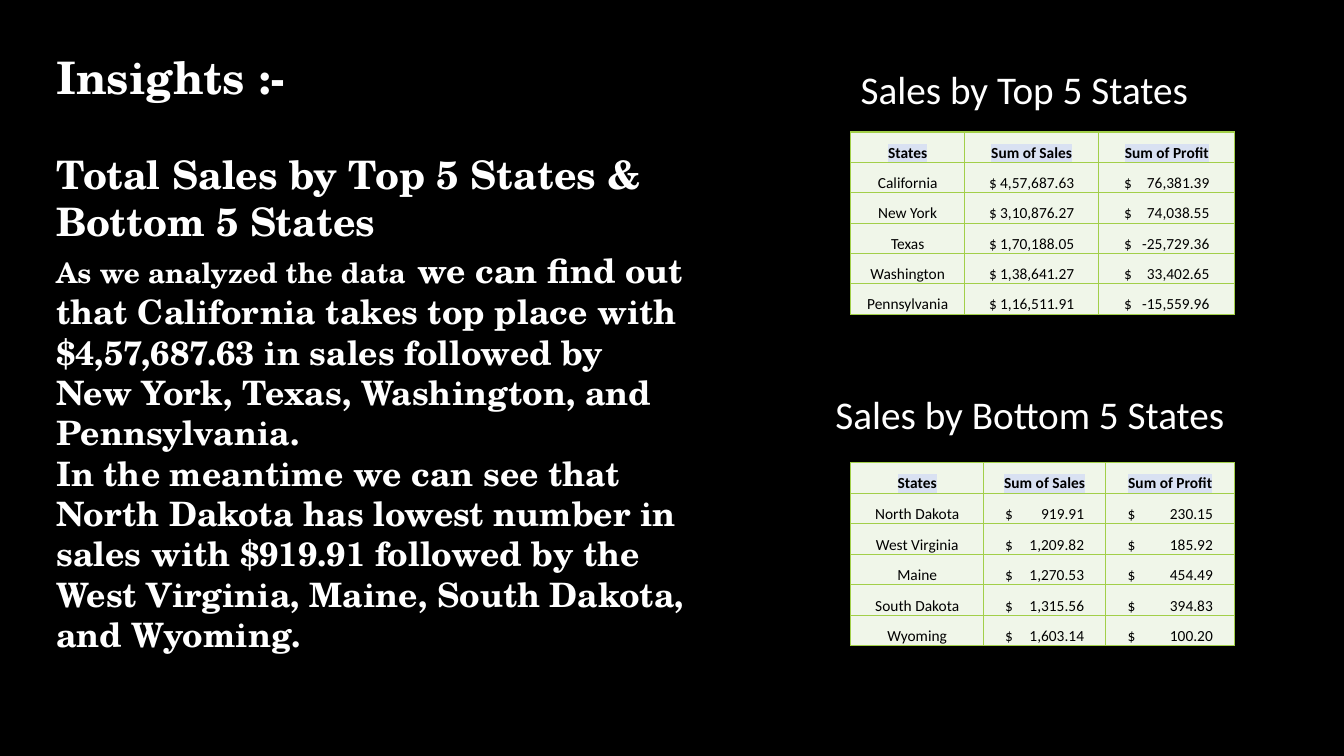
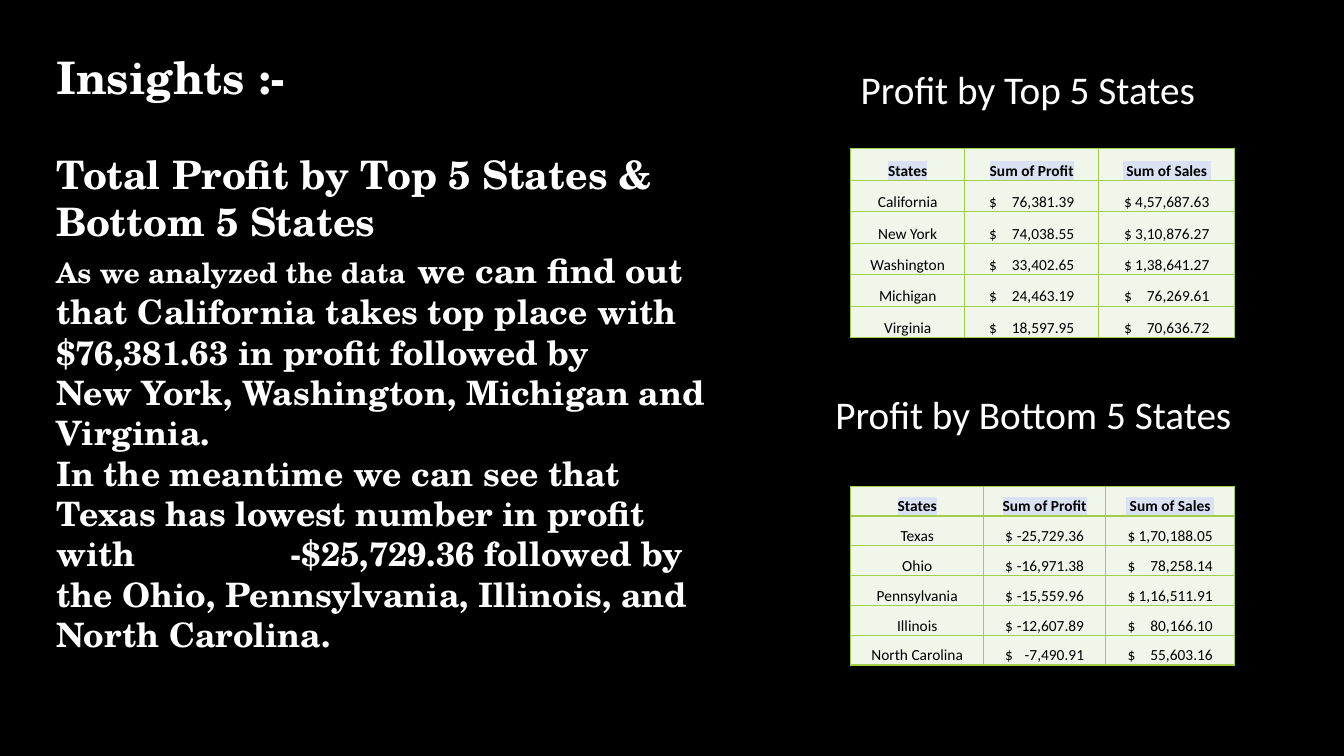
from lxml.etree import SubElement
from pptx import Presentation
from pptx.dml.color import RGBColor
from pptx.enum.text import MSO_ANCHOR, MSO_AUTO_SIZE, PP_ALIGN
from pptx.oxml.ns import qn
from pptx.util import Pt

# Shared look
BLACK = RGBColor(0x00, 0x00, 0x00)
WHITE = RGBColor(0xFF, 0xFF, 0xFF)
CELL_GREEN = RGBColor(0xF0, 0xF6, 0xE9)
BORDER_GREEN = RGBColor(0xA2, 0xCF, 0x49)
HIGHLIGHT_BLUE = RGBColor(0xD9, 0xE1, 0xF2)
SERIF = "TeX Gyre Schola"
SANS = "Calibri"

# Shared layout, in points
TABLE_LEFT = 607.7
TOP_CAPTION = (607.7, 43.2, 274.3, 41)
BOTTOM_CAPTION = (589.7, 275, 311, 41)
INSIGHTS_BOX = (33.1, 31.7, 489.6, 443)
TOP_COLUMNS = (81.4, 95.8, 97.2)
BOTTOM_COLUMNS = (95, 87.1, 92.3)
TOP_AMOUNTS = (61, 61)  # width from the dollar sign to the last digit
BOTTOM_AMOUNTS = (56.5, 61)
GAP_STOP = 167.5

PAGES = [
    {
        "subject": "Sales",
        "headers": ("States", "Sum of Sales", "Sum of Profit"),
        "insights": [
            "$4,57,687.63 in sales followed by",
            "New York, Texas, Washington, and",
            "Pennsylvania.",
            "In the meantime we can see that North Dakota has lowest number in "
            "sales with $919.91 followed by the West Virginia, Maine, "
            "South Dakota, and Wyoming.",
        ],
        "top": (94.3, 21.7, [
            ("California", "4,57,687.63", "76,381.39"),
            ("New York", "3,10,876.27", "74,038.55"),
            ("Texas", "1,70,188.05", "-25,729.36"),
            ("Washington", "1,38,641.27", "33,402.65"),
            ("Pennsylvania", "1,16,511.91", "-15,559.96"),
        ]),
        "bottom": (330.5, 21.8, [
            ("North Dakota", "919.91", "230.15"),
            ("West Virginia", "1,209.82", "185.92"),
            ("Maine", "1,270.53", "454.49"),
            ("South Dakota", "1,315.56", "394.83"),
            ("Wyoming", "1,603.14", "100.20"),
        ]),
    },
    {
        "subject": "Profit",
        "headers": ("States", "Sum of Profit", " Sum of Sales "),
        "insights": [
            "$76,381.63 in profit followed by",
            "New York, Washington, Michigan and",
            "Virginia.",
            "In the meantime we can see that Texas has lowest number in profit "
            "with\t-$25,729.36 followed by the Ohio, Pennsylvania, Illinois, "
            "and North Carolina.",
        ],
        "top": (106.3, 22.5, [
            ("California", "76,381.39", "4,57,687.63"),
            ("New York", "74,038.55", "3,10,876.27"),
            ("Washington", "33,402.65", "1,38,641.27"),
            ("Michigan", "24,463.19", "76,269.61"),
            ("Virginia", "18,597.95", "70,636.72"),
        ]),
        "bottom": (347.3, 21.3, [
            ("Texas", "-25,729.36", "1,70,188.05"),
            ("Ohio", "-16,971.38", "78,258.14"),
            ("Pennsylvania", "-15,559.96", "1,16,511.91"),
            ("Illinois", "-12,607.89", "80,166.10"),
            ("North Carolina", "-7,490.91", "55,603.16"),
        ]),
    },
]


def add_span(para, text, *, size, font=SERIF, color=WHITE, bold=True, highlight=None):
    span = para.add_run()
    span.text = text
    span.font.size = Pt(size)
    span.font.name = font
    span.font.bold = bold
    span.font.color.rgb = color
    if highlight is not None:
        properties = span.font._element
        mark = SubElement(properties, qn("a:highlight"))
        SubElement(mark, qn("a:srgbClr"), val=str(highlight))
        properties.find(qn("a:solidFill")).addnext(mark)


def add_tab_stop(para, position, alignment):
    stops = SubElement(para._p.get_or_add_pPr(), qn("a:tabLst"))
    SubElement(stops, qn("a:tab"), pos=str(int(Pt(position))), algn=alignment)


def add_text_box(page, place):
    box = page.shapes.add_textbox(*(Pt(length) for length in place))
    box.text_frame.word_wrap = True
    box.text_frame.auto_size = MSO_AUTO_SIZE.SHAPE_TO_FIT_TEXT
    return box.text_frame


def add_caption(page, place, text):
    para = add_text_box(page, place).paragraphs[0]
    add_span(para, text, size=28, font=SANS, bold=False)


def add_insights(page, subject, lines):
    frame = add_text_box(page, INSIGHTS_BOX)
    add_span(frame.paragraphs[0], "Insights :-", size=32)

    heading = frame.add_paragraph()
    heading.space_before = Pt(33.6)
    add_span(heading, f"Total {subject} by Top 5 States & Bottom 5 States", size=28)

    opening = frame.add_paragraph()
    add_span(opening, "As we analyzed the data", size=20)
    add_span(opening, " ", size=28)
    add_span(opening, "we can find out", size=24)

    for line in ["that California takes top place with", *lines]:
        para = frame.add_paragraph()
        add_span(para, line, size=24)
        if "\t" in line:
            add_tab_stop(para, GAP_STOP, "l")


def style_cell(cell):
    cell.vertical_anchor = MSO_ANCHOR.BOTTOM
    cell.margin_left = cell.margin_right = cell.margin_top = Pt(0.7)
    cell.margin_bottom = Pt(0)
    properties = cell._tc.get_or_add_tcPr()
    for side in ("a:lnL", "a:lnR", "a:lnT", "a:lnB"):
        line = SubElement(properties, qn(side), w=str(int(Pt(1))))
        fill = SubElement(line, qn("a:solidFill"))
        SubElement(fill, qn("a:srgbClr"), val=str(BORDER_GREEN))
    cell.fill.solid()
    cell.fill.fore_color.rgb = CELL_GREEN


def fill_cell(cell, text, *, header=False):
    style_cell(cell)
    para = cell.text_frame.paragraphs[0]
    para.alignment = PP_ALIGN.CENTER
    add_span(para, text, size=11, font=SANS, color=BLACK, bold=header,
             highlight=HIGHLIGHT_BLUE if header else None)


def fill_amount(cell, amount, column_width, amount_width):
    # Dollar sign at the left, digits flush right, the pair centred
    style_cell(cell)
    cell.margin_left = Pt((column_width - amount_width) / 2)
    cell.margin_right = Pt(0)
    para = cell.text_frame.paragraphs[0]
    para.alignment = PP_ALIGN.LEFT
    add_tab_stop(para, amount_width, "r")
    add_span(para, f"$\t{amount}", size=11, font=SANS, color=BLACK, bold=False)


def add_state_table(page, headers, content, widths, amount_widths):
    top, row_height, states = content
    row_count = len(states) + 1
    table = page.shapes.add_table(
        row_count, len(headers), Pt(TABLE_LEFT), Pt(top),
        Pt(sum(widths)), Pt(row_height * row_count)).table
    table.first_row = table.horz_banding = False
    for column, width in zip(table.columns, widths):
        column.width = Pt(width)
    for row in table.rows:
        row.height = Pt(row_height)
    for index, header in enumerate(headers):
        fill_cell(table.cell(0, index), header, header=True)
    for row, (state, *amounts) in enumerate(states, start=1):
        fill_cell(table.cell(row, 0), state)
        for index, amount in enumerate(amounts):
            fill_amount(table.cell(row, index + 1), amount,
                        widths[index + 1], amount_widths[index])


def main():
    deck = Presentation()
    deck.slide_width, deck.slide_height = Pt(960), Pt(540)
    background = deck.slide_master.background.fill
    background.solid()
    background.fore_color.rgb = BLACK

    for content in PAGES:
        page = deck.slides.add_slide(deck.slide_layouts[6])
        subject, headers = content["subject"], content["headers"]
        add_insights(page, subject, content["insights"])
        add_caption(page, TOP_CAPTION, f"{subject} by Top 5 States")
        add_caption(page, BOTTOM_CAPTION, f"{subject} by Bottom 5 States")
        add_state_table(page, headers, content["top"], TOP_COLUMNS, TOP_AMOUNTS)
        add_state_table(page, headers, content["bottom"], BOTTOM_COLUMNS, BOTTOM_AMOUNTS)

    deck.save("out.pptx")


if __name__ == "__main__":
    main()
